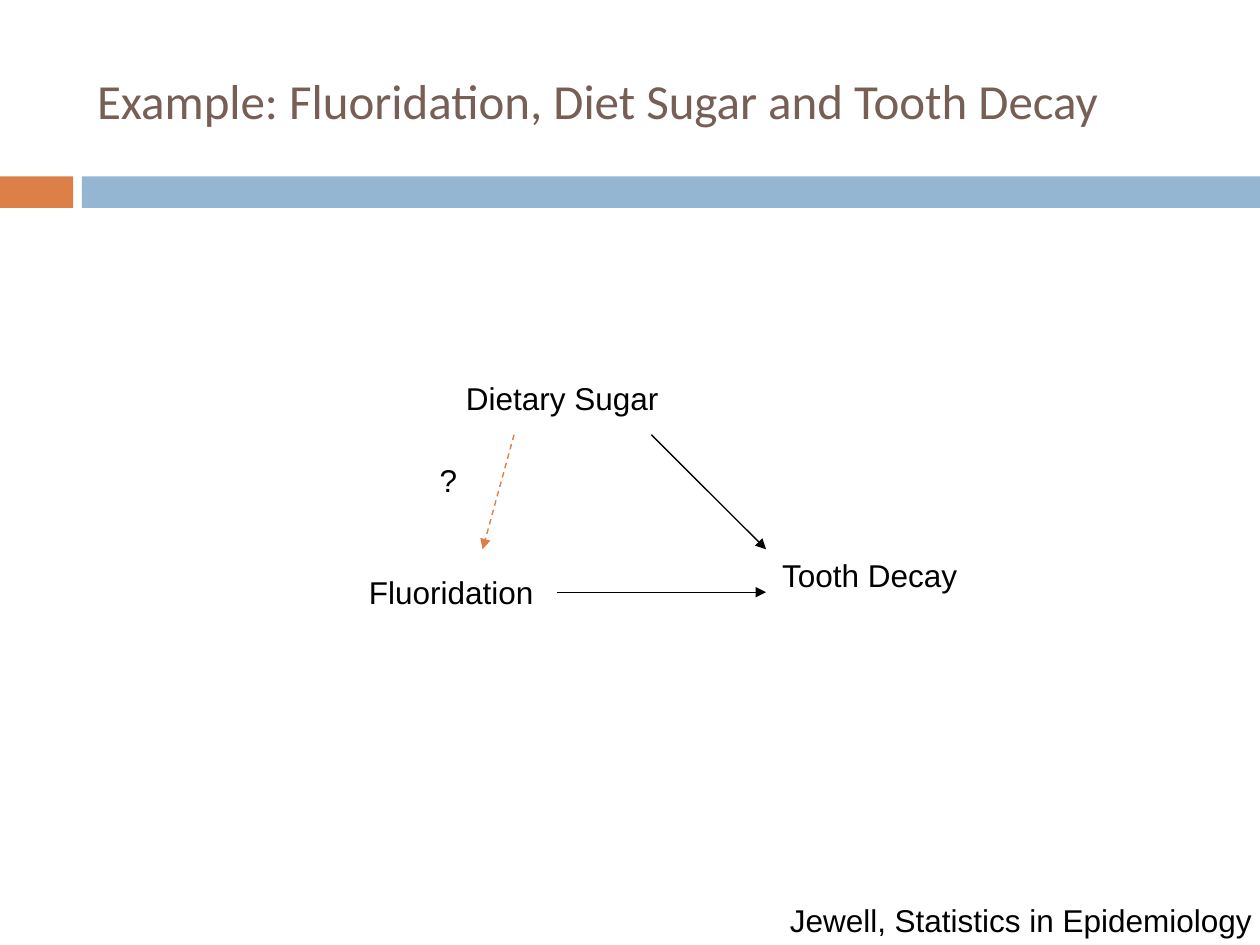
from lxml import etree
from pptx import Presentation
from pptx import util as u
from pptx.dml.color import RGBColor
from pptx.enum import dml, shapes, text
from pptx.oxml.ns import qn

COLORS = {"title": "775F55", "accent": "DD8047", "band": "94B6D2", "ink": "000000"}
LABEL_H = 5.33
ARROW_TOP, ARROW_END = 46, 58.13


class Deck:
    font, title_font = "Arial", "Calibri"
    size, title_size, line_width = 18, 28, 0.79

    def __init__(self, width, height):
        self.prs = Presentation()
        self.prs.slide_width = u.Inches(width)
        self.prs.slide_height = u.Inches(height)
        self.s = self.prs.slides.add_slide(self.prs.slide_layouts[5])

    def x(self, pct):
        return round(self.prs.slide_width * pct / 100)

    def y(self, pct):
        return round(self.prs.slide_height * pct / 100)

    def box(self, left, top, width, height):
        return self.x(left), self.y(top), self.x(width), self.y(height)

    def color(self, name):
        return RGBColor.from_string(COLORS[name])

    def set_text(self, tf, content, font, size, color):
        tf.text = content
        p = tf.paragraphs[0]
        p.alignment = text.PP_ALIGN.LEFT
        f = p.runs[0].font
        f.name, f.size = font, u.Pt(size)
        f.color.rgb = self.color(color)

    def title(self, content, *box):
        sp = self.s.shapes.title
        sp.left, sp.top, sp.width, sp.height = self.box(*box)
        tf = sp.text_frame
        self.set_text(tf, content, self.title_font, self.title_size, "title")
        tf.vertical_anchor = text.MSO_ANCHOR.MIDDLE
        tf.auto_size = text.MSO_AUTO_SIZE.NONE

    def bar(self, color, *box):
        sp = self.s.shapes.add_shape(shapes.MSO_SHAPE.RECTANGLE, *self.box(*box))
        sp.shadow.inherit = False
        sp.fill.solid()
        sp.fill.fore_color.rgb = self.color(color)
        sp.line.fill.background()

    def label(self, parent, content, left, top, width, wrap=False):
        sp = parent.shapes.add_textbox(*self.box(left, top, width, LABEL_H))
        tf = sp.text_frame
        self.set_text(tf, content, self.font, self.size, "ink")
        tf.word_wrap = wrap
        tf.auto_size = text.MSO_AUTO_SIZE.SHAPE_TO_FIT_TEXT

    def arrow(self, parent, x1, y1, x2, y2, color="ink", dashed=False):
        c = parent.shapes.add_connector(
            shapes.MSO_CONNECTOR.STRAIGHT,
            self.x(x1), self.y(y1), self.x(x2), self.y(y2))
        c.line.width = u.Pt(self.line_width)
        c.line.color.rgb = self.color(color)
        if dashed:
            c.line.dash_style = dml.MSO_LINE.DASH
        sp_pr = c._element.spPr
        etree.SubElement(sp_pr.find(qn("a:ln")), qn("a:tailEnd"), type="triangle")
        etree.SubElement(sp_pr, qn("a:effectLst"))


def main():
    d = Deck(10, 7.5)
    d.bar("accent", 0, 18.67, 5.8, 3.33)
    d.bar("band", 6.5, 18.67, 93.5, 3.33)
    d.title("Example: Fluoridation, Diet Sugar and Tooth Decay", 6.7, 3.33, 89.2, 14.4)

    diagram = d.s.shapes.add_group_shape()
    d.arrow(diagram, 51.7, ARROW_TOP, 60.8, ARROW_END)
    d.arrow(diagram, 44.2, 62.67, 60.8, 62.67)
    d.label(diagram, "Fluoridation", 28.3, 60, 15.2)
    d.label(diagram, "Tooth Decay", 61.1, ARROW_END, 16)
    d.label(diagram, "Dietary Sugar", 36, 39.47, 17.4)

    d.label(d.s, "Jewell, Statistics in Epidemiology", 61.7, 94.67, 39.6)
    d.arrow(d.s, 40.8, ARROW_TOP, 38.3, ARROW_END, "accent", dashed=True)
    d.label(d.s, "?", 33.9, 48.13, 4.2, wrap=True)
    d.prs.save("out.pptx")


if __name__ == "__main__":
    main()
